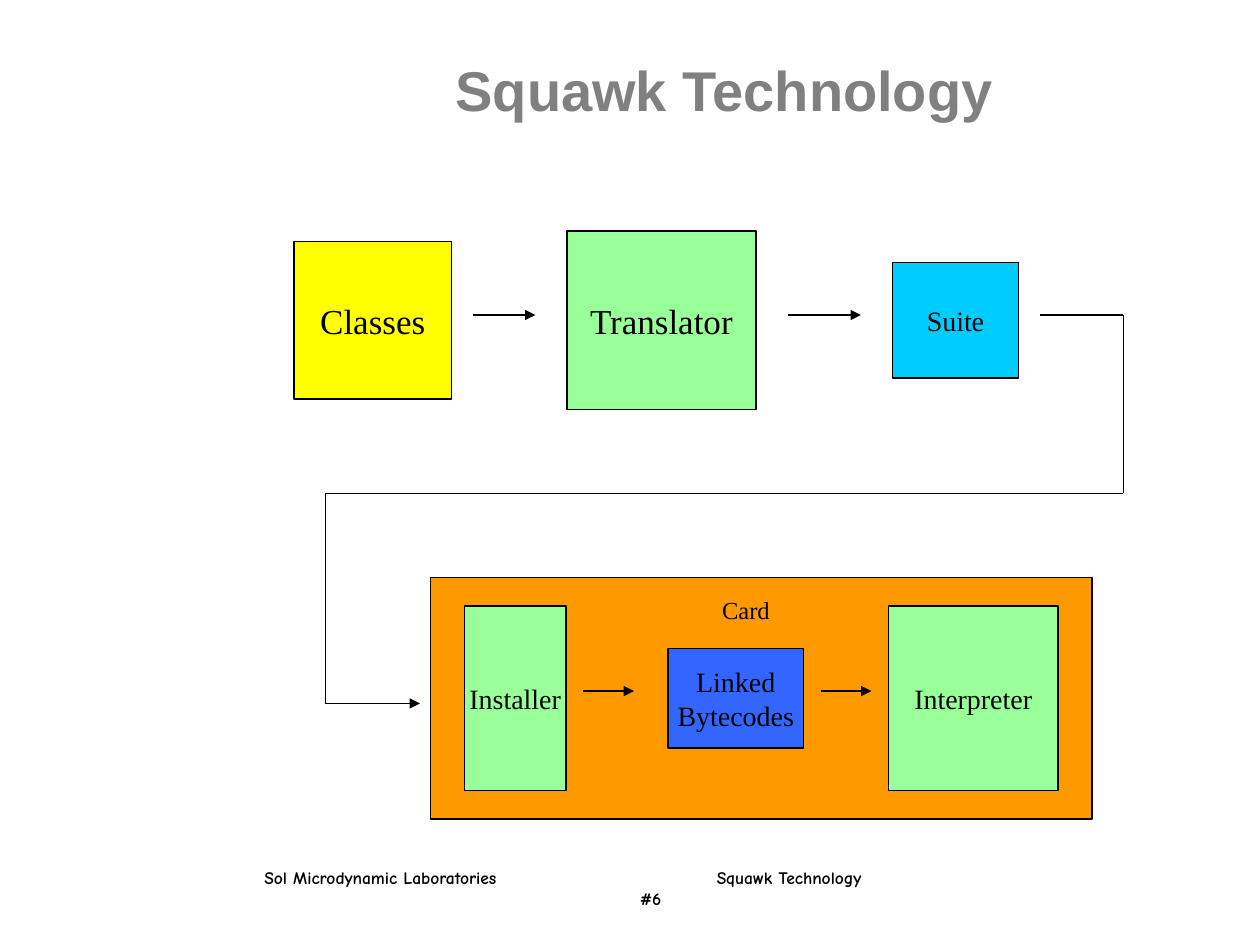
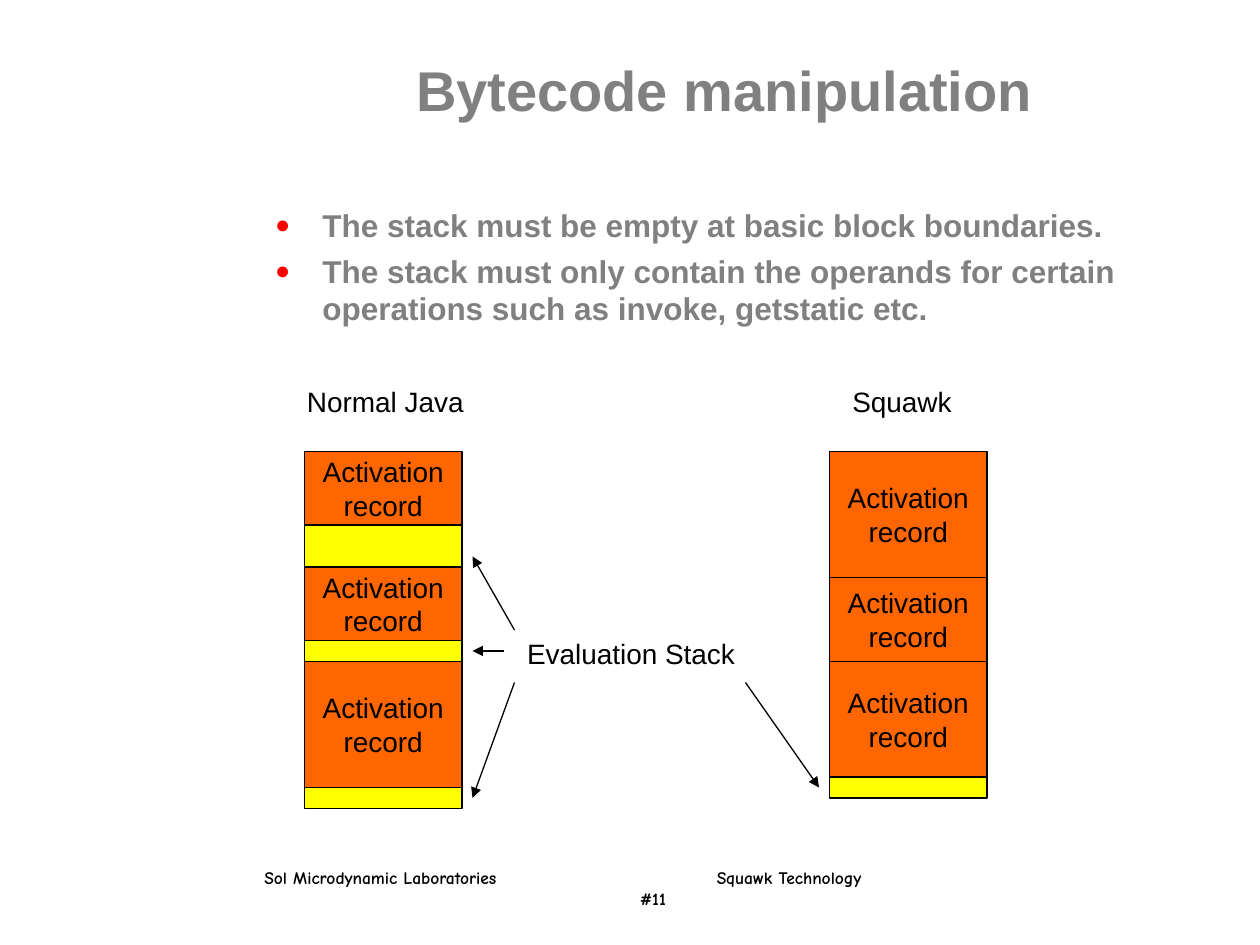
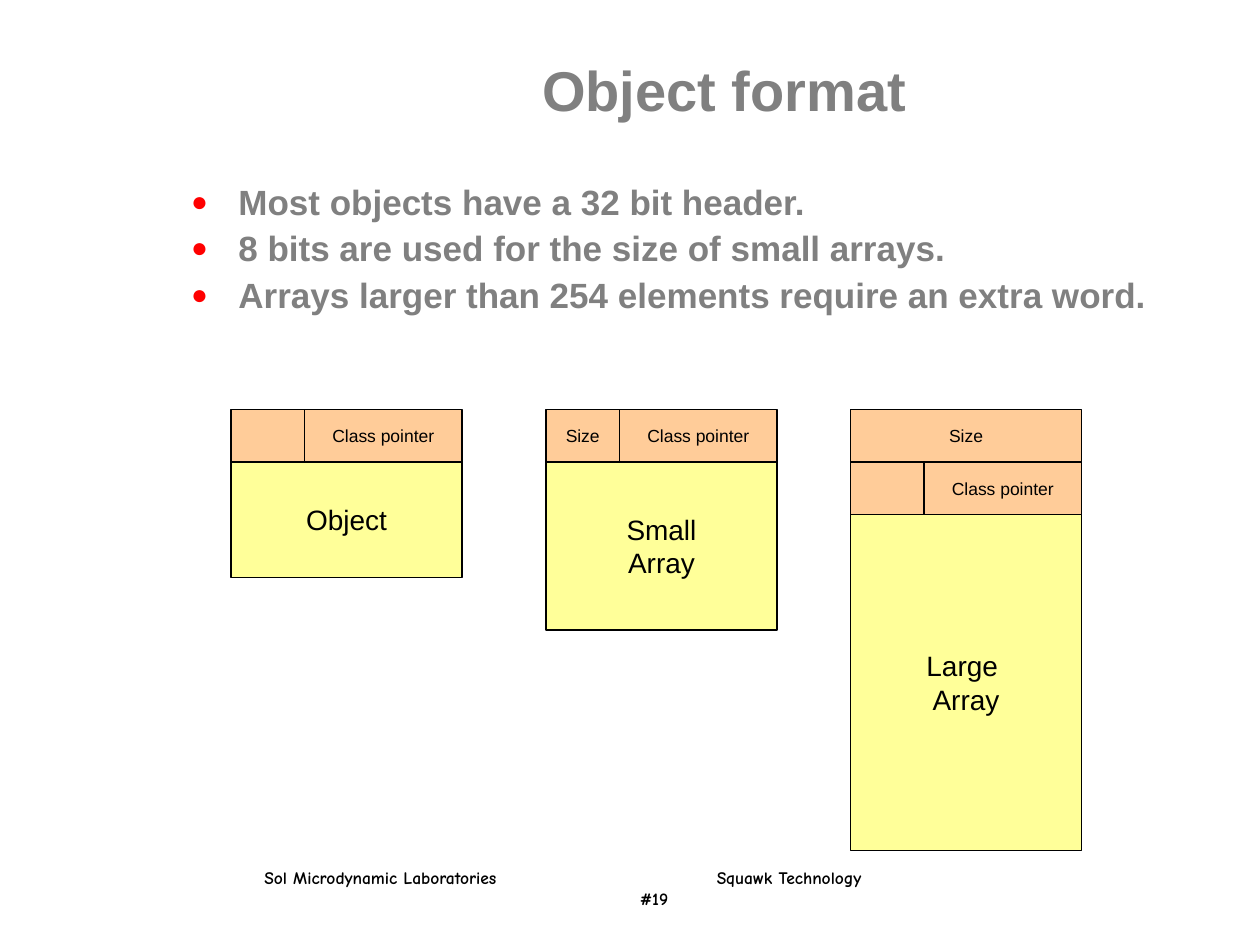
import itertools

import pptx
import pptx.dml.color
import pptx.enum.shapes
import pptx.enum.text
import pptx.oxml
import pptx.oxml.ns
import pptx.util

ALIGN = pptx.enum.text.PP_ALIGN
MIDDLE = pptx.enum.text.MSO_ANCHOR.MIDDLE
TOP = pptx.enum.text.MSO_ANCHOR.TOP
NONE = pptx.enum.text.MSO_AUTO_SIZE.NONE

# Shared look; lengths are cells of a 120 x 90 grid (12 cells to the inch)
CELL = 1 / 12
BLACK, GREY, RED = "000000", "808080", "FF0000"
YELLOW, GREEN, ORANGE = "FFFF00", "99FF99", "FF6600"
CREAM, PEACH = "FFFF99", "FFCC99"
SERIF, SANS, COMIC = "Times New Roman", "Arial", "Comic Neue"
MAKER, TOPIC = "Sol Microdynamic Laboratories", "Squawk Technology"
WIDE = (24, 5, 90, 7)

# Slide 1: parts as (text, fill, size, cells)
FLOW = [
    ("Classes", YELLOW, 20, (28, 23, 15, 15)),
    ("Translator", GREEN, 20, (54, 22, 18, 17)),
    ("Suite", "00CCFF", 16, (85, 25, 12, 11)),
]
HOPS = [(45, 51), (75, 82)]
HOP_ROW = 30
ROUTE = [(99, 30), (107, 30), (107, 47), (31, 47), (31, 67), (40, 67)]

# The card has its own grid of 39 columns and 17 rows
CARD = (41, 55, 63, 23)
COLS, ROWS = 39, 17
INNER = [
    ("Installer", GREEN, 16, (2, 2, 6, 13)),
    ("Linked\nBytecodes", "3366FF", 16, (14, 5, 8, 7)),
    ("Card", None, 14, (15.6, 0.75, 6, 3)),
    ("Interpreter", GREEN, 16, (27, 2, 10, 13)),
]
STEPS = [(9, 12), (23, 26)]
STEP_ROW = 8

# Slide 2: stacks as (left, heights of records "R" and evaluation areas "E")
RULES = [
    "The stack must be empty at basic block boundaries.",
    "The stack must only contain the operands for certain operations "
    "such as invoke, getstatic etc.",
]
STACKS = [
    (29, [("R", 7), ("E", 4), ("R", 7), ("E", 2), ("R", 12), ("E", 2)]),
    (79, [("R", 12), ("R", 8), ("R", 11), ("E", 2)]),
]
KINDS = {"R": ("Activation\nrecord", ORANGE), "E": ("", YELLOW)}
STACK_TOP, STACK_WIDE = 43, 15
LABELS = [
    ("Normal Java", (26.7, 36, 20, 4.4)),
    ("Squawk", (78.9, 36, 14, 4.4)),
    ("Evaluation Stack", (47.1, 60, 26, 4.4)),
]
POINTS = [
    ((49, 60), (45, 53)),
    ((48, 62), (45, 62)),
    ((49, 65), (45, 76)),
    ((71, 65), (78, 75)),
]

# Slide 3: layouts as (left, name, body height, header rows)
FACTS = [
    "Most objects have a 32 bit header.",
    "8 bits are used for the size of small arrays.",
    "Arrays larger than 254 elements require an extra word.",
]
POINTER = "Class pointer"
FORMS = [
    (22, "Object", 11, [[("", 7), (POINTER, 15)]]),
    (52, "Small\nArray", 16, [[("Size", 7), (POINTER, 15)]]),
    (81, "Large \nArray", 32, [[("Size", 22)], [("", 7), (POINTER, 15)]]),
]
FORM_TOP, FORM_WIDE, HEAD = 39, 22, 5


def color(code):
    return pptx.dml.color.RGBColor.from_string(code)


def cells(*nums):
    return [pptx.util.Inches(n * CELL) for n in nums]


def style(par, face, size, tint=BLACK, bold=False):
    for run in par.runs:
        run.font.name, run.font.size = face, pptx.util.Pt(size)
        run.font.bold, run.font.color.rgb = bold, color(tint)


def add_xml(par, inner):
    """Add bullet or tab elements to a paragraph."""
    root = pptx.oxml.parse_xml(
        f"<a:pPr {pptx.oxml.ns.nsdecls('a')}>{inner}</a:pPr>")
    props = par._p.get_or_add_pPr()
    for item in list(root):
        props.append(item)


def place(shape, area):
    shape.left, shape.top, shape.width, shape.height = cells(*area)


def box(slide, text, fill, size, area, face=SANS):
    """Draw a filled box, or a bare label when there is no fill."""
    if fill:
        kind = pptx.enum.shapes.MSO_SHAPE.RECTANGLE
        shape = slide.shapes.add_shape(kind, *cells(*area))
        shape.shadow.inherit = False
        shape.fill.solid()
        shape.fill.fore_color.rgb = color(fill)
        shape.line.color.rgb = color(BLACK)
        shape.line.width = pptx.util.Pt(0.75)
    else:
        shape = slide.shapes.add_textbox(*cells(*area))
    if text:
        frame = shape.text_frame
        frame.text = text
        frame.word_wrap = False
        frame.vertical_anchor = MIDDLE
        for par in frame.paragraphs:
            par.alignment = ALIGN.CENTER
            style(par, face, size)


def line(slide, start, end, arrow=True):
    kind = pptx.enum.shapes.MSO_CONNECTOR.STRAIGHT
    link = slide.shapes.add_connector(kind, *cells(*start, *end))
    link.line.color.rgb = color(BLACK)
    link.line.width = pptx.util.Pt(0.75)
    space = pptx.oxml.ns.nsdecls("a")
    if arrow:
        link.line._get_or_add_ln().append(
            pptx.oxml.parse_xml(f'<a:tailEnd {space} type="triangle"/>'))
    link._element.spPr.append(pptx.oxml.parse_xml(f"<a:effectLst {space}/>"))


def footer(slide, page):
    frame = slide.shapes.add_textbox(*cells(24, 82, 75.5, 5.3)).text_frame
    frame.word_wrap = True
    frame.text = f"{MAKER}\t{TOPIC}\n\t#{page}"
    for par, stop in zip(frame.paragraphs, (3.59, 2.98)):
        spot = pptx.util.Inches(stop)
        add_xml(par, f'<a:tabLst><a:tab pos="{spot}" algn="l"/></a:tabLst>')
        style(par, COMIC, 10, bold=True)


def start(deck, layout, title, page, area=WIDE):
    slide = deck.slides.add_slide(deck.slide_layouts[layout])
    footer(slide, page)
    head = slide.shapes.title
    place(head, area)
    frame = head.text_frame
    frame.text = title
    frame.auto_size, frame.vertical_anchor = NONE, MIDDLE
    frame.paragraphs[0].alignment = ALIGN.CENTER
    style(frame.paragraphs[0], SANS, 32, GREY, True)
    return slide


def bullets(slide, items, area, size, pitch):
    body = slide.placeholders[1]
    place(body, area)
    frame = body.text_frame
    frame.text = "\n".join(items)
    frame.auto_size, frame.vertical_anchor = NONE, TOP
    hang = pptx.util.Pt(27)
    for rank, par in enumerate(frame.paragraphs):
        props = par._p.get_or_add_pPr()
        props.set("marL", str(hang))
        props.set("indent", str(-hang))
        add_xml(par, f'<a:buClr><a:srgbClr val="{RED}"/></a:buClr>'
                     '<a:buSzPct val="80000"/><a:buChar char="●"/>')
        par.line_spacing = pitch
        par.space_before = pptx.util.Pt(size / 4 if rank else 0)
        style(par, SANS, size, GREY, True)


def flow(deck):
    slide = start(deck, 5, TOPIC, 6, (27, 5, 84, 7))
    for text, fill, size, area in FLOW:
        box(slide, text, fill, size, area, SERIF)
    for left, right in HOPS:
        line(slide, (left, HOP_ROW), (right, HOP_ROW))
    for begin, end in itertools.pairwise(ROUTE):
        line(slide, begin, end, end == ROUTE[-1])

    # Card and what runs on it
    box(slide, "", "FF9900", 16, CARD)
    left, top, width, height = CARD
    col, row = width / COLS, height / ROWS
    for text, fill, size, (x, y, w, h) in INNER:
        area = (left + x * col, top + y * row, w * col, h * row)
        box(slide, text, fill, size, area, SERIF)
    level = top + STEP_ROW * row
    for begin, end in STEPS:
        line(slide, (left + begin * col, level), (left + end * col, level))


def stacks(deck):
    slide = start(deck, 1, "Bytecode manipulation", 11)
    bullets(slide, RULES, (25, 19, 87, 14), 18, 1.0)
    for left, parts in STACKS:
        top = STACK_TOP
        for kind, height in parts:
            text, fill = KINDS[kind]
            box(slide, text, fill, 16, (left, top, STACK_WIDE, height))
            top += height
    for text, area in LABELS:
        box(slide, text, None, 16, area)
    for begin, end in POINTS:
        line(slide, begin, end)


def forms(deck):
    slide = start(deck, 1, "Object format", 19)
    bullets(slide, FACTS, (17, 17, 98, 14), 20, 0.9)
    for left, name, height, rows in FORMS:
        top = FORM_TOP
        for row in rows:
            x = left
            for text, width in row:
                box(slide, text, PEACH, 10, (x, top, width, HEAD))
                x += width
            top += HEAD
        box(slide, name, CREAM, 16, (left, top, FORM_WIDE, height))


def main():
    deck = pptx.Presentation()
    deck.slide_width, deck.slide_height = cells(120, 90)
    flow(deck)
    stacks(deck)
    forms(deck)
    deck.save("out.pptx")


if __name__ == "__main__":
    main()
